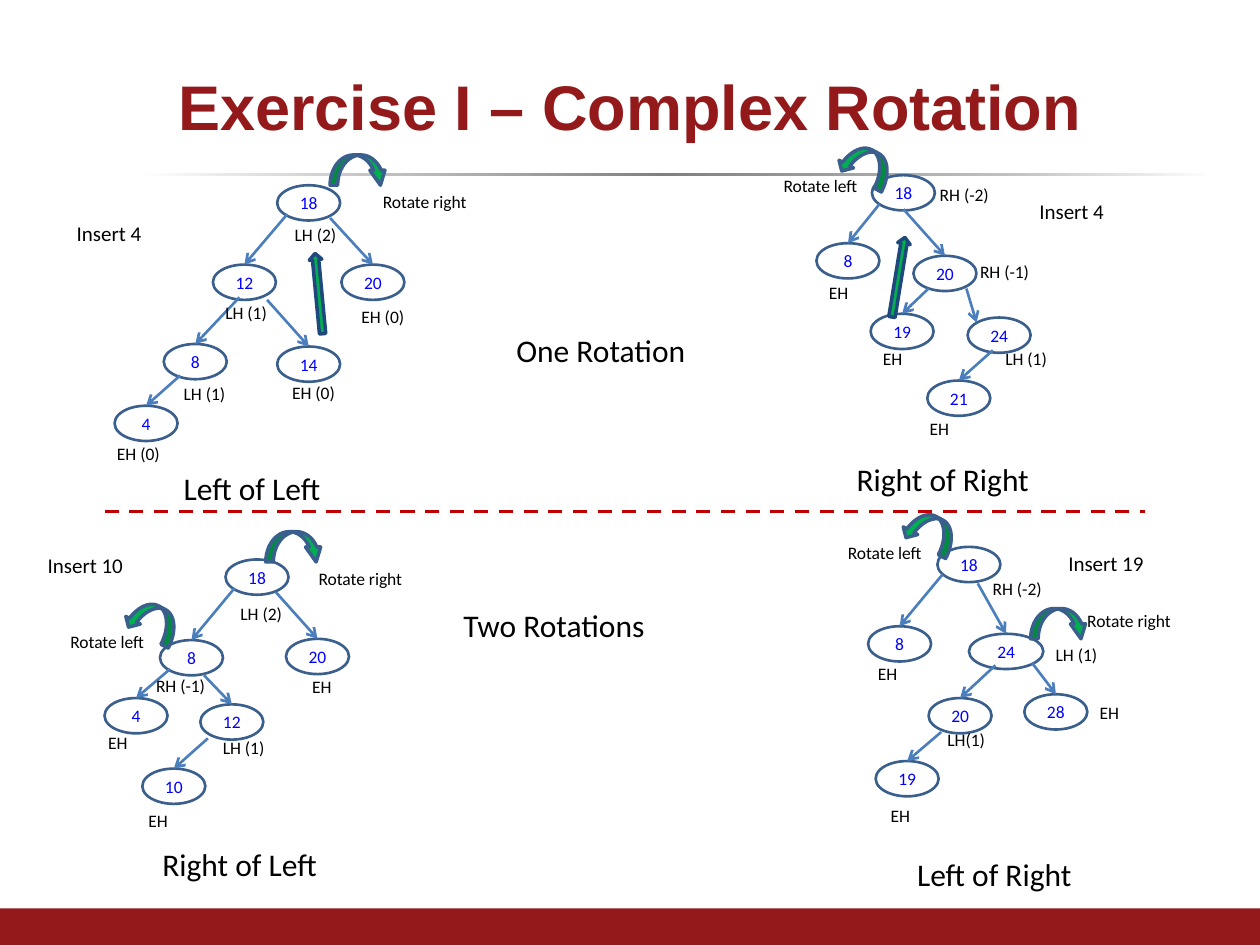
"""Build a slide of four AVL trees that need one or two rotations."""
from lxml import etree
from pptx import Presentation
from pptx.dml.color import RGBColor
from pptx.enum.dml import MSO_LINE
from pptx.enum.shapes import MSO_CONNECTOR, MSO_SHAPE
from pptx.enum.text import MSO_ANCHOR, MSO_AUTO_SIZE, PP_ALIGN
from pptx.oxml.ns import qn
from pptx.util import Pt

PX = 9144
STRAIGHT, DASH = MSO_CONNECTOR.STRAIGHT, MSO_LINE.DASH
OVAL, RECTANGLE, LEFT_ARROW = MSO_SHAPE.OVAL, MSO_SHAPE.RECTANGLE, MSO_SHAPE.LEFT_ARROW
CURVED_DOWN, CURVED_UP = MSO_SHAPE.CURVED_DOWN_ARROW, MSO_SHAPE.CURVED_UP_ARROW
MIDDLE, CENTER = MSO_ANCHOR.MIDDLE, PP_ALIGN.CENTER
GROW = MSO_AUTO_SIZE.SHAPE_TO_FIT_TEXT

COLORS = {
    "brand": "93191B", "text": "000000", "key": "0000FF", "node": "3A5F8C",
    "edge": "4B7EBC", "divider": "C00000", "turn": "00B050", "lift": "1F497D",
}
COLORS = {part: RGBColor.from_string(value) for part, value in COLORS.items()}
RULE_STOPS = [(0, "FFFFFF"), (24, "BFBFBF"), (49, "808080"), (80, "BFBFBF"), (100, "FFFFFF")]
LINE_HEIGHT = {10: 27, 12: 30, 18: 40}

# key, left, top, width, start of the edge from the parent
TREES = [
    [("18", 220, 147, 50, None), ("12", 169, 210, 50, (228, 170)),
     ("20", 271, 210, 50, (262, 173)), ("8", 130, 273, 50, (190, 236)),
     ("14", 220, 275, 50, (212, 238)), ("4", 91, 322, 50, (143, 298))],
    [("18", 692, 139, 50, None), ("8", 648, 193, 50, (698, 162)),
     ("20", 725, 203, 50, (717, 166)), ("19", 691, 249, 50, (737, 229)),
     ("24", 768, 252, 50, None), ("21", 736, 302, 50, (788, 278))],
    [("18", 179, 444, 50, None), ("8", 127, 508, 50, (186, 467)),
     ("20", 227, 507, 50, (219, 470)), ("4", 83, 554, 50, (135, 531)),
     ("12", 159, 559, 50, (162, 536)), ("10", 113, 610, 50, (165, 586))],
    [("18", 744, 434, 50, None), ("8", 689, 497, 50, (748, 456)),
     ("24", 769, 503, 59, (776, 463)), ("20", 737, 554, 50, (790, 528)),
     ("28", 813, 551, 50, (819, 526)), ("19", 695, 604, 50, (747, 581))],
]
LABELS = {
    10: [
        ("LH (2)", 224, 173, 61), ("LH (1)", 169, 235, 58), ("LH (1)", 136, 299, 67),
        ("EH (0)", 277, 238, 65), ("EH (0)", 222, 298, 68), ("EH (0)", 83, 347, 72),
        ("RH (-2)", 736, 141, 71), ("RH (-1)", 768, 202, 74), ("LH (1)", 788, 271, 75),
        ("EH", 648, 219, 50), ("EH", 691, 271, 50), ("EH", 728, 327, 50),
        ("LH (2)", 181, 474, 62), ("RH (-1)", 114, 531, 66), ("LH (1)", 167, 580, 76),
        ("EH", 238, 532, 50), ("EH", 76, 576, 50), ("EH", 108, 638, 50),
        ("RH (-2)", 778, 454, 75), ("LH (1)", 828, 506, 71), ("LH(1)", 742, 574, 62),
        ("EH", 687, 521, 50), ("EH", 863, 552, 50), ("EH", 697, 634, 50),
        ("Rotate right", 294, 147, 175), ("Rotate left", 612, 134, 175),
        ("Rotate left", 46, 496, 175), ("Rotate right", 243, 446, 175),
        ("Rotate right", 853, 479, 175), ("Rotate left", 663, 425, 175),
    ],
    12: [("Insert 4", 51, 170, 122), ("Insert 4", 815, 153, 122),
         ("Insert 10", 28, 434, 122), ("Insert 19", 838, 432, 122)],
    18: [("Left of Left", 136, 367, 172), ("Right of Right", 670, 360, 172),
         ("Right of Left", 119, 666, 172), ("Left of Right", 718, 674, 172),
         ("One Rotation", 400, 258, 283), ("Two Rotations", 358, 476, 283)],
}
RIGHT_TURNS = [(262, 123), (211, 422), (818, 483)]
LEFT_TURNS = [(666, 118), (100, 480), (717, 409)]
LIFTS = [(221, 228, 84.6), (681, 215, 99.3)]

prs = Presentation()
prs.slide_width, prs.slide_height = 1000 * PX, 750 * PX
slide = prs.slides.add_slide(prs.slide_layouts[6])
shapes = slide.shapes


def add_figure(kind, left, top, width, height, fill=None, line=None, weight=1.5):
    figure = shapes.add_shape(kind, left * PX, top * PX, width * PX, height * PX)
    figure.shadow.inherit = False
    if fill:
        figure.fill.solid()
        figure.fill.fore_color.rgb = COLORS[fill]
    else:
        figure.fill.background()
    if line:
        figure.line.color.rgb = COLORS[line]
        figure.line.width = Pt(weight)
    else:
        figure.line.fill.background()
    return figure


def style_text(frame, text, size, color, font="Calibri"):
    frame.text = text
    run_font = frame.paragraphs[0].runs[0].font
    run_font.name, run_font.size = font, Pt(size)
    run_font.color.rgb = COLORS[color]
    return run_font


rule = add_figure(RECTANGLE, 108, 137, 858, 3)
rule.fill.gradient()
rule.fill.gradient_angle = 0
stops = rule._element.spPr.find(qn("a:gradFill")).find(qn("a:gsLst"))
stops.clear()
for position, shade in RULE_STOPS:
    stop = etree.SubElement(stops, qn("a:gs"), pos=str(position * 1000))
    etree.SubElement(stop, qn("a:srgbClr"), val=shade)
add_figure(RECTANGLE, 0, 721, 1000, 29, fill="brand")

title = shapes.add_textbox(50 * PX, 30 * PX, 900 * PX, 107 * PX).text_frame
title.word_wrap = True
title.vertical_anchor = MIDDLE
style_text(title, "Exercise I – Complex Rotation", 36, "brand", "Arial").bold = True
title.paragraphs[0].alignment = CENTER

edges = []
for tree in TREES:
    for key, left, top, width, start in tree:
        node = add_figure(OVAL, left, top, width, 28, line="node")
        node.text_frame.vertical_anchor = MIDDLE
        style_text(node.text_frame, key, 10, "key")
        node.text_frame.paragraphs[0].alignment = CENTER
        if start:
            edges.append((*start, left + width // 2, top, node))
edges.append((767, 229, 775, 256, None))

for x1, y1, x2, y2, child in edges:
    edge = shapes.add_connector(STRAIGHT, x1 * PX, y1 * PX, x2 * PX, y2 * PX)
    if child:
        edge.end_connect(child, 0)
    edge.line.color.rgb = COLORS["edge"]
    edge.line.width = Pt(1.5)
    etree.SubElement(edge.line._get_or_add_ln(), qn("a:tailEnd"), type="arrow")
    etree.SubElement(edge._element.spPr, qn("a:effectLst"))

divider = shapes.add_connector(STRAIGHT, 83 * PX, 406 * PX, 909 * PX, 406 * PX)
divider.line.color.rgb = COLORS["divider"]
divider.line.width = Pt(2)
divider.line.dash_style = DASH
etree.SubElement(divider._element.spPr, qn("a:effectLst"))

for size, labels in LABELS.items():
    for text, left, top, width in labels:
        label = shapes.add_textbox(left * PX, top * PX, width * PX, LINE_HEIGHT[size] * PX)
        label.text_frame.word_wrap = True
        label.text_frame.auto_size = GROW
        style_text(label.text_frame, text, size, "text")

for left, top in RIGHT_TURNS:
    turn = add_figure(CURVED_DOWN, left, top, 46, 24, "turn", "node", 2)
    turn.adjustments[2] = 0.493
for left, top in LEFT_TURNS:
    turn = add_figure(CURVED_UP, left, top, 42, 26, "turn", "node", 2)
    turn.rotation = 207.9
for left, top, angle in LIFTS:
    lift = add_figure(LEFT_ARROW, left, top, 64, 10, "turn", "lift", 2)
    lift.rotation = angle

prs.save("out.pptx")
